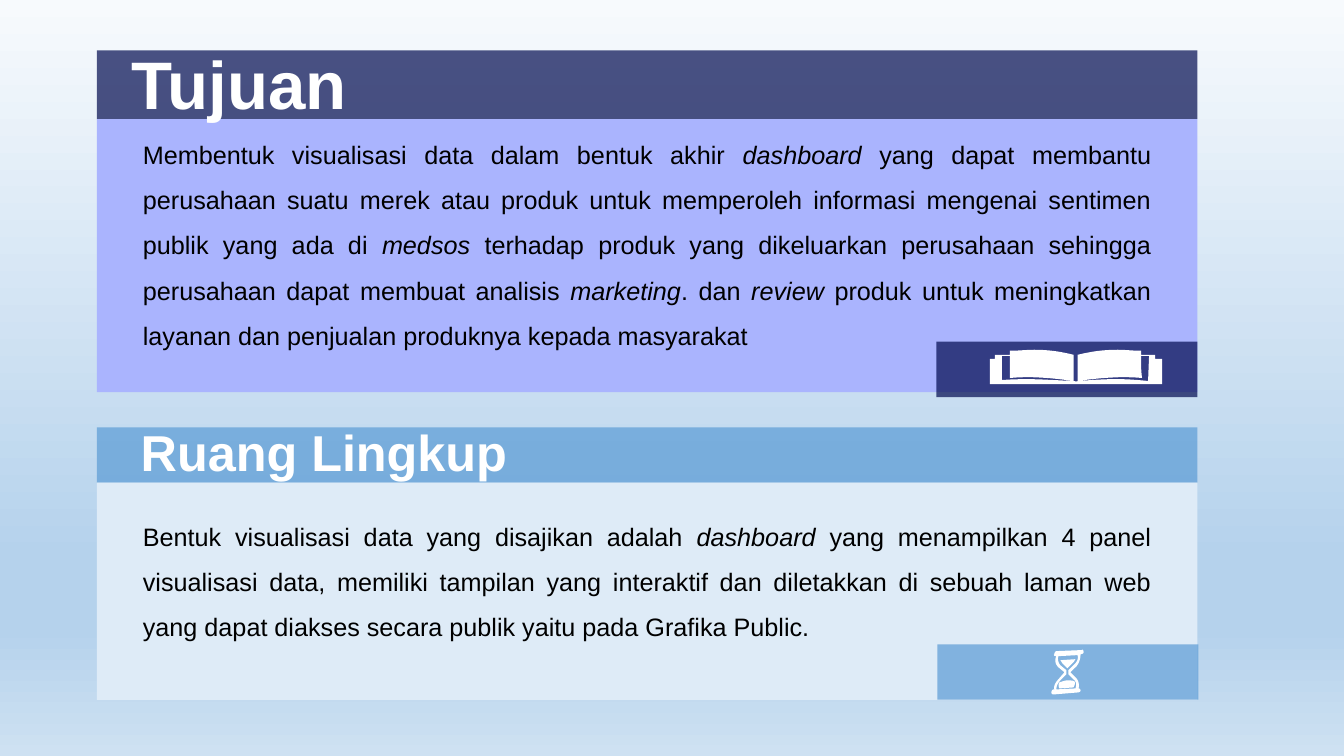
from lxml import etree
from pptx import Presentation
from pptx.dml.color import RGBColor
from pptx.enum.shapes import MSO_SHAPE
from pptx.enum.text import MSO_ANCHOR, PP_ALIGN
from pptx.oxml.ns import qn
from pptx.util import Pt

RECT = MSO_SHAPE.RECTANGLE
MIDDLE, TOP = MSO_ANCHOR.MIDDLE, MSO_ANCHOR.TOP
CENTER, JUSTIFY = PP_ALIGN.CENTER, PP_ALIGN.JUSTIFY

NAVY = RGBColor(0x01, 0x0A, 0x4F)
LILAC = RGBColor(0xAA, 0xB4, 0xFE)
BLUE = RGBColor(0x5A, 0x9B, 0xD5)
PALE = RGBColor(0xDE, 0xEB, 0xF7)
WHITE = RGBColor(0xFF, 0xFF, 0xFF)
BLACK = RGBColor(0, 0, 0)
SKY = [(0, "F7FAFD"), (74, "B5D2EC"), (83, "B5D2EC"), (100, "CEE1F2")]

LEFT, WIDTH = 69.1, 786.2
BADGE_W, BADGE_H = 186.5, 39.6
UNIT = 0.72  # points per icon grid step

# Icon outlines: a pair is a corner, six numbers are a Bezier curve.
BOOK = [[
    (1065, 378), (1065, 378, 1069, 379, 1069, 378),
    (1097, 376, 1111, 375, 1139, 378), (1140, 353), (1132, 353),
    (1132, 360, 1132, 368, 1133, 375), (1113, 373, 1090, 375, 1069, 378),
    (1069, 352), (1082, 349, 1093, 347, 1109, 347),
    (1116, 347, 1123, 348, 1132, 348), (1132, 352), (1146, 352),
    (1146, 356), (1153, 356), (1153, 381), (982, 381), (982, 356),
    (987, 356), (987, 352), (1002, 352), (1002, 348),
    (1011, 348, 1019, 347, 1026, 347), (1041, 347, 1053, 349, 1065, 352),
    (1065, 378), (1044, 375, 1022, 373, 1002, 375), (1002, 353),
    (994, 353), (994, 377), (1023, 375, 1039, 377, 1065, 378),
]]
GLASS = [
    [(1059, 675), (1061, 675, 1064, 675, 1066, 676),
     (1067, 678, 1066, 680, 1065, 682), (1051, 683),
     (1050, 681, 1050, 679, 1051, 677), (1054, 676, 1057, 675, 1059, 675)],
    [(1052, 655), (1067, 654), (1066, 655, 1066, 656, 1065, 657),
     (1059, 663), (1054, 658), (1053, 657, 1053, 656, 1052, 655)],
    [(1050, 651), (1049, 654, 1050, 658, 1052, 660), (1058, 665),
     (1058, 669), (1052, 675), (1049, 678, 1048, 681, 1048, 684),
     (1067, 683), (1068, 680, 1068, 676, 1065, 674), (1060, 669),
     (1060, 665), (1066, 659), (1069, 656, 1070, 653, 1069, 650)],
    [(1048, 646), (1073, 645), (1074, 644, 1075, 645, 1075, 647),
     (1075, 648, 1074, 649, 1072, 649), (1072, 653, 1071, 657, 1068, 661),
     (1062, 667), (1067, 672), (1070, 675, 1071, 679, 1070, 683),
     (1071, 683, 1072, 684, 1072, 685), (1072, 686, 1071, 687, 1069, 687),
     (1045, 689), (1044, 689, 1043, 688, 1043, 687),
     (1043, 686, 1044, 684, 1045, 684), (1046, 684),
     (1045, 681, 1047, 677, 1050, 674), (1056, 667), (1050, 662),
     (1047, 659, 1046, 655, 1048, 651), (1046, 651, 1045, 650, 1046, 649),
     (1046, 648, 1047, 646, 1048, 646)],
]

# Title, size, centre x and y; header y and height; body height;
# badge x and y; text y; dark and light colours; icon; text (* = italic)
PANELS = [
    ("Tujuan", 48, 171, 58.9, 36, 49, 195.1, 668.9, 244, 85, NAVY, LILAC, BOOK,
     "Membentuk visualisasi data dalam bentuk akhir *dashboard* yang dapat "
     "membantu perusahaan suatu merek atau produk untuk memperoleh informasi "
     "mengenai sentimen publik yang ada di *medsos *terhadap produk yang "
     "dikeluarkan perusahaan sehingga perusahaan dapat membuat analisis "
     "*marketing*. dan *review *produk untuk meningkatkan layanan dan "
     "penjualan produknya kepada masyarakat"),
    ("Ruang Lingkup", 36, 231.5, 322.3, 305.2, 39.6, 155.2, 669.6, 460.2, 357.8,
     BLUE, PALE, GLASS,
     "Bentuk visualisasi data yang disajikan adalah *dashboard* yang "
     "menampilkan 4 panel visualisasi data, memiliki tampilan yang interaktif "
     "dan diletakkan di sebuah laman web yang dapat diakses secara publik "
     "yaitu pada Grafika Public."),
]


def paint(shape, color, alpha=100):
    """Give a shape a flat fill with an alpha in percent, and no line."""
    shape.shadow.inherit = False
    shape.line.fill.background()
    shape.fill.solid()
    shape.fill.fore_color.rgb = color
    if alpha < 100:
        tint = shape.element.spPr.find(".//" + qn("a:srgbClr"))
        etree.SubElement(tint, qn("a:alpha"), val=str(alpha * 1000))


def flatten(curve):
    """Turn an outline with Bezier curves into corners in EMU."""
    dots = [curve[0]]
    for step in curve[1:]:
        if len(step) == 2:
            dots.append(step)
            continue
        x0, y0 = dots[-1]
        x1, y1, x2, y2, x3, y3 = step
        for i in range(1, 9):
            t = i / 8
            a, b, c, d = (1 - t)**3, 3 * t * (1 - t)**2, 3 * t * t * (1 - t), t**3
            dots.append((a * x0 + b * x1 + c * x2 + d * x3,
                         a * y0 + b * y1 + c * y2 + d * y3))
    return [(Pt(x * UNIT), Pt(y * UNIT)) for x, y in dots]


deck = Presentation()
deck.slide_width, deck.slide_height = Pt(960), Pt(540)
slide = deck.slides.add_slide(deck.slide_layouts[6])
shapes = slide.shapes

back = slide.background.fill
back.gradient()
back.gradient_angle = 270
stops = slide.element.find(".//" + qn("a:gsLst"))
for stop in list(stops):
    stops.remove(stop)
for pos, color in SKY:
    stop = etree.SubElement(stops, qn("a:gs"), pos=str(pos * 1000))
    etree.SubElement(stop, qn("a:srgbClr"), val=color)

for (title, size, mid_x, mid_y, top, head_h, body_h, badge_x, badge_y, text_y,
     dark, light, icon, text) in PANELS:
    for x, y, w, h, color, alpha in [
        (LEFT, top, WIDTH, head_h, dark, 70),
        (LEFT, top + head_h, WIDTH, body_h, light, 100),
        (badge_x, badge_y, BADGE_W, BADGE_H, dark, 70),
    ]:
        box = shapes.add_shape(RECT, Pt(x), Pt(y), Pt(w), Pt(h))
        paint(box, color, alpha)

    pen = None
    for curve in icon:
        dots = flatten(curve)
        if pen is None:
            pen = shapes.build_freeform(*dots[0], scale=1.0)
        else:
            pen.move_to(*dots[0])
        pen.add_line_segments(dots[1:], close=True)
    paint(pen.convert_to_shape(), WHITE)

    for x, y, w, h, words, pts, color, bold, align, anchor, space in [
        (mid_x - 170, mid_y - 32, 340, 64, title, size, WHITE, True,
         CENTER, MIDDLE, 1.0),
        (95, text_y, 734.4, 105, text, 18, BLACK, False, JUSTIFY, TOP, 1.5),
    ]:
        frame = shapes.add_textbox(Pt(x), Pt(y), Pt(w), Pt(h)).text_frame
        frame.word_wrap = True
        frame.vertical_anchor = anchor
        para = frame.paragraphs[0]
        para.alignment, para.line_spacing = align, space
        font = para.font
        font.name, font.size, font.bold = "Arial", Pt(pts), bold
        font.color.rgb = color
        for i, part in enumerate(words.split("*")):
            run = para.add_run()
            run.text = part
            if i % 2:
                run.font.italic = True

deck.save("out.pptx")
